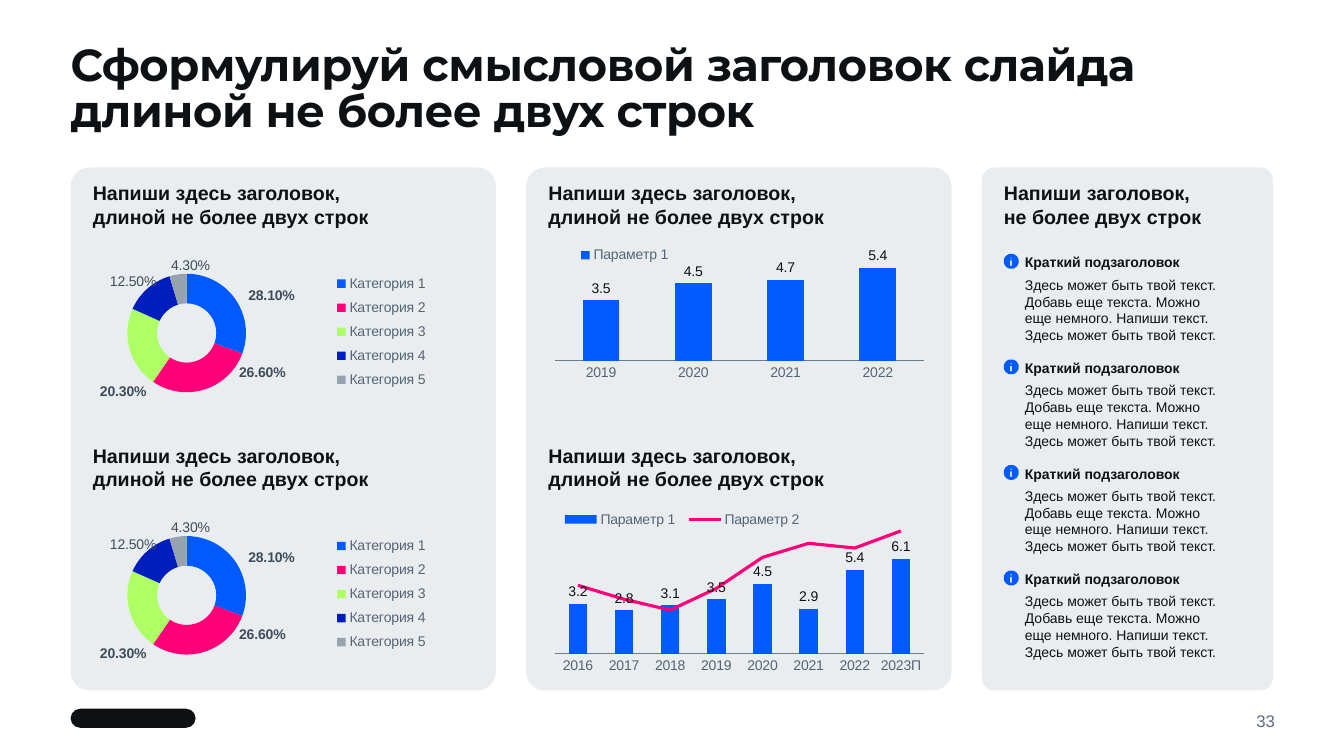
import math
from lxml import etree
from pptx import Presentation
from pptx import util as u
from pptx.chart.data import CategoryChartData
from pptx.dml.color import RGBColor
from pptx.enum import chart as charts, shapes, text
from pptx.oxml import parse_xml
from pptx.oxml.ns import nsdecls, qn

Cm, Pt = u.Cm, u.Pt
COLORS = {"ink": "0E1114", "panel": "EAEDEF", "blue": "005AFF", "pink": "FF0078",
          "lime": "AEFF65", "navy": "001EBE", "grey": "96A3AE", "legend": "536476",
          "label": "3F4C5A", "axis": "6A7B89", "number": "5A6C7D"}
TITLE = "Сформулируй смысловой заголовок слайда длиной не более двух строк"
HEADING = "Напиши здесь заголовок,\vдлиной не более двух строк"
SIDE_HEADING = "Напиши заголовок,\vне более двух строк"
BODY = ("Здесь может быть твой текст. Добавь еще текста. Можно еще немного. "
        "Напиши текст. Здесь может быть твой текст.")
PANELS = [(1.78, 10.72), (13.26, 10.72), (24.74, 7.34)]
HEADING_TOPS = (4.57, 11.18)
# Category, share, colour, bold label, label shift
SHARES = [("Категория 1", 0.281, "blue", True, (0.14, -0.04)),
          ("Категория 2", 0.266, "pink", True, (0.18, -0.01)),
          ("Категория 3", 0.203, "lime", True, (-0.06, 0.16)),
          ("Категория 4", 0.125, "navy", False, (-0.07, -0.06)),
          ("Категория 5", 0.043, "grey", False, (0.03, -0.08))]


def color(name):
    return RGBColor.from_string(COLORS[name])


def style(font, size, color_name, bold=False, name="Arial"):
    font.size, font.bold, font.name = Pt(size), bold, name
    font.color.rgb = color(color_name)


def paint(item, color_name):
    """Fill a shape or a chart format and take its outline away."""
    item.fill.solid()
    item.fill.fore_color.rgb = color(color_name)
    item.line.fill.background()


def add_text(slide, content, box, size, color_name="ink", bold=False, name="Arial"):
    frame = slide.shapes.add_textbox(*map(Cm, box)).text_frame
    frame.word_wrap = True
    frame.margin_left = frame.margin_top = frame.margin_right = frame.margin_bottom = 0
    paragraph = frame.paragraphs[0]
    paragraph.text = content
    style(paragraph.font, size, color_name, bold, name)
    return frame


def add_rounded(slide, box, color_name, corner):
    shape = slide.shapes.add_shape(shapes.MSO_SHAPE.ROUNDED_RECTANGLE, *map(Cm, box))
    shape.adjustments[0] = corner
    shape.shadow.inherit = False
    paint(shape, color_name)


def circle(center_x, center_y, radius, steps=32):
    angles = [2 * math.pi * step / steps for step in range(steps)]
    return [(center_x + radius * math.cos(a), center_y + radius * math.sin(a)) for a in angles]


def add_info(slide, left, top):
    """Add a disc with the letter i cut out, a subheading and its text."""
    disc, dot = circle(18.5, 18.5, 18.5), circle(18.5, 10.5, 2)
    stem = [(16.5, 16.5), (20.5, 16.5), (20.5, 29.5), (16.5, 29.5)]
    builder = slide.shapes.build_freeform(*disc[0], scale=Cm(0.01))
    builder.add_line_segments(disc[1:])
    for hole in (dot, stem):
        builder.move_to(*hole[0])
        builder.add_line_segments(hole[1:])
    icon = builder.convert_to_shape(Cm(left), Cm(top))
    icon.shadow.inherit = False
    paint(icon, "blue")
    add_text(slide, "Краткий подзаголовок", (left + 0.53, top, 4.22, 0.38), 10, bold=True)
    add_text(slide, BODY, (left + 0.53, top + 0.56, 5, 1.6), 10)


def set_layout(parent, index, values, **modes):
    """Give a chart part a manual layout in shares of the chart."""
    for old in parent.findall(qn("c:layout")):
        parent.remove(old)
    layout = parse_xml(f"<c:layout {nsdecls('c')}><c:manualLayout/></c:layout>")
    for tag, value in {**modes, **dict(zip("xywh", values))}.items():
        etree.SubElement(layout[0], qn(f"c:{tag}")).set("val", str(value))
    parent.insert(index, layout)


def add_chart(slide, kind, box, categories, series, number_format, plot_area, legend_area):
    data = CategoryChartData(number_format=number_format)
    data.categories = categories
    for name, values in series:
        data.add_series(name, values)
    chart = slide.shapes.add_chart(kind, *map(Cm, box), data).chart
    chart.has_title, chart.has_legend = False, True
    style(chart.font, 10, "ink")
    legend, position = chart.legend, charts.XL_LEGEND_POSITION
    doughnut = kind == charts.XL_CHART_TYPE.DOUGHNUT
    legend.position = position.RIGHT if doughnut else position.TOP
    legend.include_in_layout = False
    style(legend.font, 10, "legend")
    set_layout(legend._element, 1, legend_area, xMode="edge", yMode="edge")
    set_layout(chart._chartSpace.chart.plotArea, 0, plot_area,
               layoutTarget="inner", xMode="edge", yMode="edge")
    return chart


def add_doughnut(slide, left, top):
    categories, values, *_ = zip(*SHARES)
    chart = add_chart(slide, charts.XL_CHART_TYPE.DOUGHNUT, (left, top, 8.71, 7.37),
                      categories, [("Series 1", values)], "0.00%",
                      (0.1, 0.124, 0.343, 0.48), (0.69, 0.14, 0.29, 0.44))
    plot = chart.plots[0]
    for hole in plot._element.iter(qn("c:holeSize")):
        hole.set("val", "75")
    series = plot.series[0]
    labels = series.data_labels
    labels.show_value = True
    labels.number_format, labels.number_format_is_linked = "0.00%", False
    style(labels.font, 10, "label")
    for point_index, (_, _, color_name, bold, _) in enumerate(SHARES):
        point = series.points[point_index]
        paint(point.format, color_name)
        style(point.data_label.font, 10, "label", bold)
    for label, share in zip(list(series._element.iter(qn("c:dLbl"))), SHARES):
        set_layout(label, 1, share[4])
    for leader in series._element.iter(qn("c:showLeaderLines")):
        leader.set("val", "0")


def add_columns(slide, box, categories, series, maximum, plot_area, legend_area):
    chart = add_chart(slide, charts.XL_CHART_TYPE.COLUMN_CLUSTERED, box, categories,
                      series, "General", plot_area, legend_area)
    axis, scale = chart.category_axis, chart.value_axis
    axis.major_tick_mark = charts.XL_TICK_MARK.NONE
    style(axis.tick_labels.font, 10, "legend")
    axis.format.line.color.rgb = color("axis")
    axis.format.line.width = Pt(0.75)
    scale.visible = scale.has_major_gridlines = False
    scale.minimum_scale, scale.maximum_scale = 0, maximum
    plot = chart.plots[0]
    plot.gap_width, plot.vary_by_categories = 150, False
    columns = plot.series[0]
    paint(columns.format, "blue")
    labels = columns.data_labels
    labels.show_value = True
    labels.position = charts.XL_LABEL_POSITION.OUTSIDE_END
    style(labels.font, 10, "ink")
    return chart


def turn_into_line(plot, series, color_name):
    """Move one column series to a line plot on the same axes."""
    series.format.line.color.rgb = color(color_name)
    series.format.line.width = Pt(2.25)
    element = series._element
    for flag in element.findall(qn("c:invertIfNegative")):
        element.remove(flag)
    element.find(qn("c:spPr")).addnext(
        parse_xml(f'<c:marker {nsdecls("c")}><c:symbol val="none"/></c:marker>'))
    etree.SubElement(element, qn("c:smooth")).set("val", "0")
    line_plot = parse_xml(f'<c:lineChart {nsdecls("c")}><c:grouping val="standard"/>'
                          '<c:varyColors val="0"/></c:lineChart>')
    line_plot.append(element)
    for axis in plot._element.findall(qn("c:axId")):
        etree.SubElement(line_plot, qn("c:axId")).set("val", axis.get("val"))
    plot._element.addnext(line_plot)


def main():
    presentation = Presentation()
    presentation.slide_width, presentation.slide_height = Cm(33.87), Cm(19.05)
    slide = presentation.slides.add_slide(presentation.slide_layouts[6])
    title = add_text(slide, TITLE, (1.78, 1.14, 30.3, 1.9), 32, bold=True, name="Montserrat")
    title.paragraphs[0].line_spacing = 0.85
    title.paragraphs[0].runs[0]._r.get_or_add_rPr().set("spc", "-30")
    for left, width in PANELS:
        add_rounded(slide, (left, 4.22, width, 13.18), "panel", 0.044)
    share_left, trend_left, side_left = (left + 0.56 for left, _ in PANELS)
    for top in HEADING_TOPS:
        for left in (share_left, trend_left):
            add_text(slide, HEADING, (left, top, 9.4, 1.17), 14, bold=True)
        add_doughnut(slide, share_left, top + 1.14)
    add_text(slide, SIDE_HEADING, (side_left, HEADING_TOPS[0], 6.25, 1.17), 14, bold=True)
    add_columns(slide, (trend_left, 6.05, 9.63, 4.01), ["2019", "2020", "2021", "2022"],
                [("Параметр 1", [3.5, 4.5, 4.7, 5.4])], 6,
                (0.017, 0.108, 0.966, 0.652), (0.07, 0.03, 0.26, 0.13))
    years = [str(year) for year in range(2016, 2023)] + ["2023П"]
    trends = [("Параметр 1", [3.2, 2.8, 3.1, 3.5, 4.5, 2.9, 5.4, 6.1]),
              ("Параметр 2", [4.4, 3.5, 2.8, 4.2, 6.2, 7.1, 6.8, 7.9])]
    combined = add_columns(slide, (trend_left, 12.32, 9.63, 4.95), years, trends, 9,
                           (0.017, 0.127, 0.966, 0.712), (0.02, 0.1, 0.66, 0.11))
    turn_into_line(combined.plots[0], combined.plots[0].series[1], "pink")
    for row in range(4):
        add_info(slide, side_left, 6.4 + 2.66 * row)
    add_rounded(slide, (1.78, 17.86, 3.15, 0.48), "ink", 0.5)
    number = add_text(slide, "33", (29.62, 17.86, 2.51, 0.61), 12, "number")
    number.vertical_anchor = text.MSO_ANCHOR.MIDDLE
    number.paragraphs[0].alignment = text.PP_ALIGN.RIGHT
    presentation.save("out.pptx")


if __name__ == "__main__":
    main()
